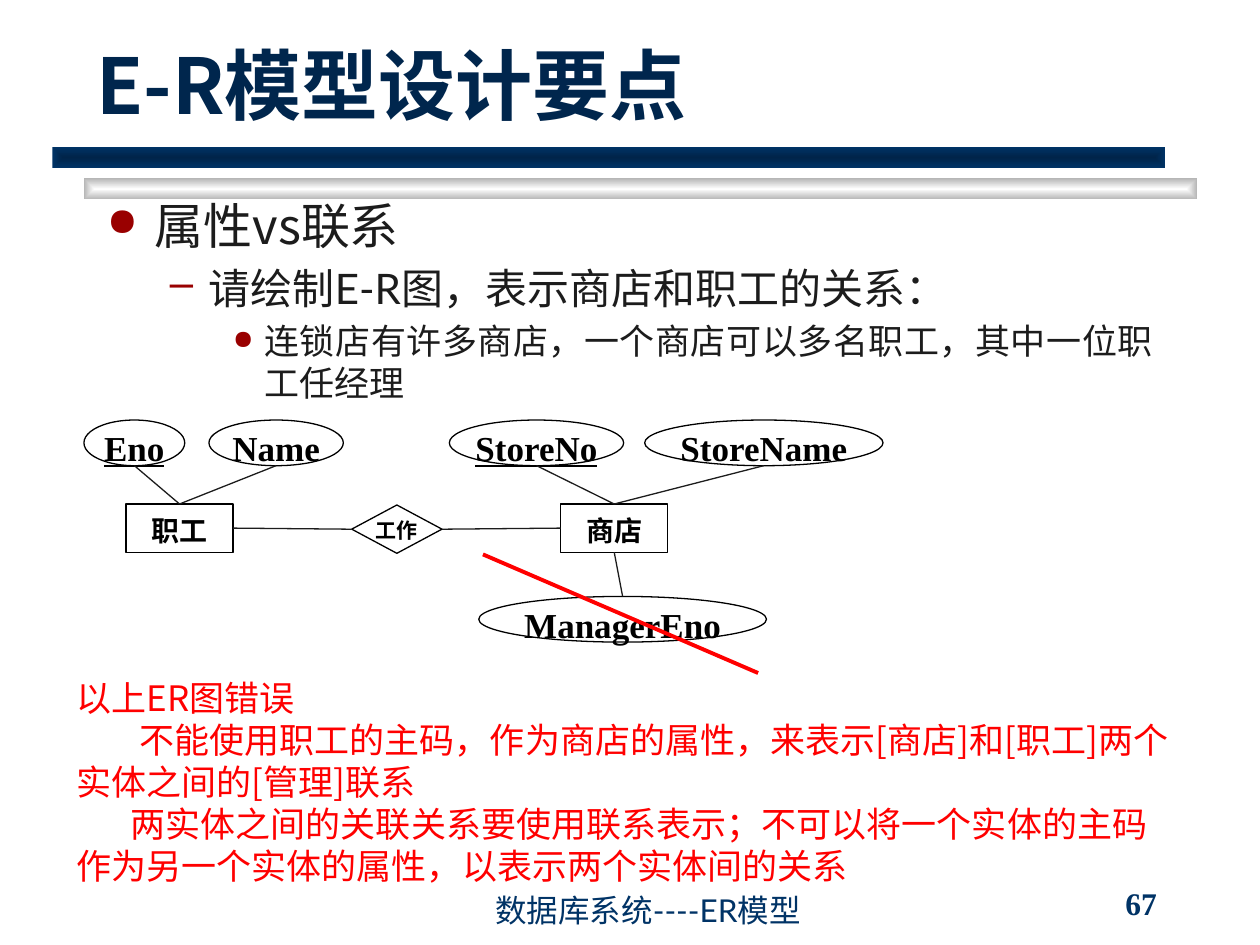
"""Build the slide on entity-relationship design: attribute versus relationship."""
from dataclasses import dataclass
from lxml.etree import SubElement as Sub
from pptx import Presentation
from pptx.dml.color import RGBColor as Rgb
from pptx.enum.shapes import MSO_CONNECTOR as Link, MSO_SHAPE as Form
from pptx.enum.text import MSO_ANCHOR as Anchor, PP_ALIGN as Align
from pptx.oxml.ns import qn
from pptx.util import Inches, Pt

WIDE, HIGH = Inches(10), Inches(7.5)
COLS, ROWS = 120, 90
INK = {
    "title": "00264D", "body": "1C1C1C", "bullet": "990000", "foot": "003366",
    "deep": "002449", "white": "FFFFFF", "grey": "B6B6B6", "black": "000000",
    "red": "FF0000",
}
HAN, SANS, LATO, SERIF = "Noto Sans CJK SC", "Noto Sans CJK JP", "Lato", "Times New Roman"


@dataclass(frozen=True)
class Box:
    """Hold a place on the grid in columns and rows."""
    col: float
    row: float
    wide: float
    high: float

    def place(self) -> tuple:
        """Give left, top, width and height."""
        return x(self.col), y(self.row), x(self.wide), y(self.high)


@dataclass(frozen=True)
class Node:
    """Describe one entity, relationship or attribute."""
    name: str
    form: Form
    box: Box
    size: int = 20
    key: bool = False
    top: float = 0


@dataclass(frozen=True)
class Point:
    """Describe one level of the bulleted outline."""
    words: str
    font: str
    size: int
    left: float
    hang: float
    mark: str
    scale: int
    gap: float


def x(cols: float) -> int:
    """Turn columns into a length."""
    return round(WIDE * cols / COLS)


def y(rows: float) -> int:
    """Turn rows into a length."""
    return round(HIGH * rows / ROWS)


def write(para, words: str, *, font: str, size: float, ink: str, bold: bool = False,
          under: bool = False, align=Align.LEFT, left: float = 0, first: float = 0,
          gap: float = 0) -> None:
    """Add formatted text to a paragraph."""
    para.alignment = align
    if gap:
        para.space_before = Pt(gap)
    props = para._p.get_or_add_pPr()
    props.set("marL", str(Inches(left)))
    props.set("indent", str(Inches(first)))
    run = para.add_run()
    run.text = words
    face = run.font
    face.name, face.size, face.bold, face.underline = font, Pt(size), bold, under
    face.color.rgb = Rgb.from_string(INK[ink])
    Sub(run._r.get_or_add_rPr(), qn("a:ea"), typeface=SANS if font == SANS else HAN)


def frame(page, box: Box, anchor=Anchor.TOP, wrap: bool = True):
    """Add a text box and return its text frame."""
    area = page.shapes.add_textbox(*box.place()).text_frame
    area.word_wrap, area.vertical_anchor = wrap, anchor
    return area


def lines(area, count: int) -> list:
    """Give a text frame the wanted number of paragraphs."""
    return [area.paragraphs[0]] + [area.add_paragraph() for _ in range(count - 1)]


def bullet(para, item: Point) -> None:
    """Give a paragraph its bullet."""
    props = para._p.get_or_add_pPr()
    Sub(Sub(props, qn("a:buClr")), qn("a:srgbClr"), val=INK["bullet"])
    Sub(props, qn("a:buSzPct"), val=str(item.scale * 1000))
    Sub(props, qn("a:buChar"), char=item.mark)


def bar(page, box: Box, inner: str, outer: str) -> None:
    """Draw a bar shaded from its centre to its edges."""
    shape = page.shapes.add_shape(Form.RECTANGLE, *box.place())
    shape.shadow.inherit = False
    shape.line.fill.background()
    shape.fill.gradient()
    for stop, ink in zip(shape.fill.gradient_stops, (inner, outer)):
        stop.color.rgb = Rgb.from_string(INK[ink])
    grad = shape._element.spPr.find(qn("a:gradFill"))
    grad.remove(grad.find(qn("a:lin")))
    shade = Sub(grad, qn("a:path"), path="shape")
    Sub(shade, qn("a:fillToRect"), {side: "50000" for side in "ltrb"})


def draw(page, node: Node):
    """Draw a node of the diagram."""
    shape = page.shapes.add_shape(node.form, *node.box.place())
    shape.shadow.inherit = False
    shape.fill.solid()
    shape.fill.fore_color.rgb = Rgb.from_string(INK["white"])
    shape.line.color.rgb = Rgb.from_string(INK["black"])
    shape.line.width = Pt(0.75)
    area = shape.text_frame
    area.word_wrap, area.vertical_anchor = False, Anchor.TOP
    area.margin_left = area.margin_right = area.margin_bottom = 0
    area.margin_top = Inches(node.top)
    write(area.paragraphs[0], node.name, font=SERIF, size=node.size, ink="black",
          bold=True, under=node.key, align=Align.CENTER)
    return shape


def stroke(page, start: tuple, end: tuple, ink: str = "body", width: float = 0.75):
    """Draw a straight line between two points."""
    line = page.shapes.add_connector(Link.STRAIGHT, *start, *end)
    line.line.color.rgb = Rgb.from_string(INK[ink])
    line.line.width = Pt(width)
    Sub(line._element.spPr, qn("a:effectLst"))
    return line


def join(page, one, side: int, two, end: int) -> None:
    """Join the sides of two shapes."""
    line = stroke(page, (0, 0), (0, 0))
    line.begin_connect(one, side)
    line.end_connect(two, end)


def hang(page, oval, host) -> None:
    """Run a line from the foot of an attribute to the top of its entity."""
    foot = oval.left + oval.width // 2, oval.top + oval.height
    stroke(page, foot, foot).end_connect(host, 0)


def entity(name: str, col: float) -> Node:
    """Describe an entity."""
    return Node(name, Form.RECTANGLE, Box(col, 48, 10.2, 4.6), 16, top=0.08)


def trait(name: str, col: float, wide: float, row: float = 40, key: bool = False) -> Node:
    """Describe an attribute."""
    return Node(name, Form.OVAL, Box(col, row, wide, 4.35), key=key)


def chart(page) -> None:
    """Draw the entity-relationship diagram."""
    staff, store = (draw(page, entity(*item)) for item in (("职工", 12), ("商店", 53.4)))
    work = draw(page, Node("工作", Form.FLOWCHART_DECISION, Box(33.5, 48.1, 8.6, 4.6), 12))
    join(page, store, 1, work, 3)
    join(page, staff, 3, work, 1)
    for host, node in (
        (staff, trait("Eno", 8, 9.6, key=True)),
        (staff, trait("Name", 19.9, 12.8)),
        (store, trait("StoreNo", 42.8, 16.6, key=True)),
        (store, trait("StoreName", 61.4, 22.7)),
    ):
        hang(page, draw(page, node), host)
    boss = draw(page, trait("ManagerEno", 45.6, 27.4, row=56.8))
    join(page, boss, 0, store, 2)


def main() -> None:
    """Build and save the slide."""
    deck = Presentation()
    deck.slide_width, deck.slide_height = WIDE, HIGH
    page = deck.slides.add_slide(deck.slide_layouts[6])
    bar(page, Box(8, 17, 106, 2), "white", "grey")
    bar(page, Box(5, 14, 106, 2), "deep", "foot")
    title = frame(page, Box(8, 5, 102, 8), Anchor.BOTTOM)
    write(title.paragraphs[0], "E-R模型设计要点", font=HAN, size=44, ink="title", bold=True)
    points = (
        Point("属性vs联系", SANS, 28, 0.38, 0.38, "●", 80, 0),
        Point("请绘制E-R图，表示商店和职工的关系：", LATO, 24, 0.81, 0.31, "–", 100, 4.8),
        Point("连锁店有许多商店，一个商店可以多名职工，其中一位职工任经理",
              LATO, 20, 1.25, 0.25, "●", 75, 4),
    )
    body = frame(page, Box(9, 18, 102, 21.7))
    for level, (para, item) in enumerate(zip(lines(body, len(points)), points)):
        para.level = level
        write(para, item.words, font=item.font, size=item.size, ink="body",
              align=Align.JUSTIFY, left=item.left, first=-item.hang, gap=item.gap)
        bullet(para, item)
    chart(page)
    notes = (
        ("以上ER图错误", 0),
        ("不能使用职工的主码，作为商店的属性，来表示[商店]和[职工]两个实体之间的[管理]联系", 0.5),
        ("两实体之间的关联关系要使用联系表示；不可以将一个实体的主码作为另一个实体的属性，"
         "以表示两个实体间的关系", 0.43),
    )
    area = frame(page, Box(6.1, 63.8, 107.6, 21.4))
    for para, (words, first) in zip(lines(area, len(notes)), notes):
        write(para, words, font=SANS, size=20, ink="red", first=first)
    stroke(page, (x(46), y(52.8)), (x(72.2), y(64.1)), "red", 2.25)
    number = frame(page, Box(106, 84, 13, 4), Anchor.MIDDLE, wrap=False)
    write(number.paragraphs[0], "67", font=SERIF, size=18, ink="foot", bold=True)
    foot = frame(page, Box(46, 85, 49, 4), Anchor.BOTTOM)
    write(foot.paragraphs[0], "数据库系统----ER模型", font=LATO, size=18, ink="foot")
    deck.save("out.pptx")


if __name__ == "__main__":
    main()
